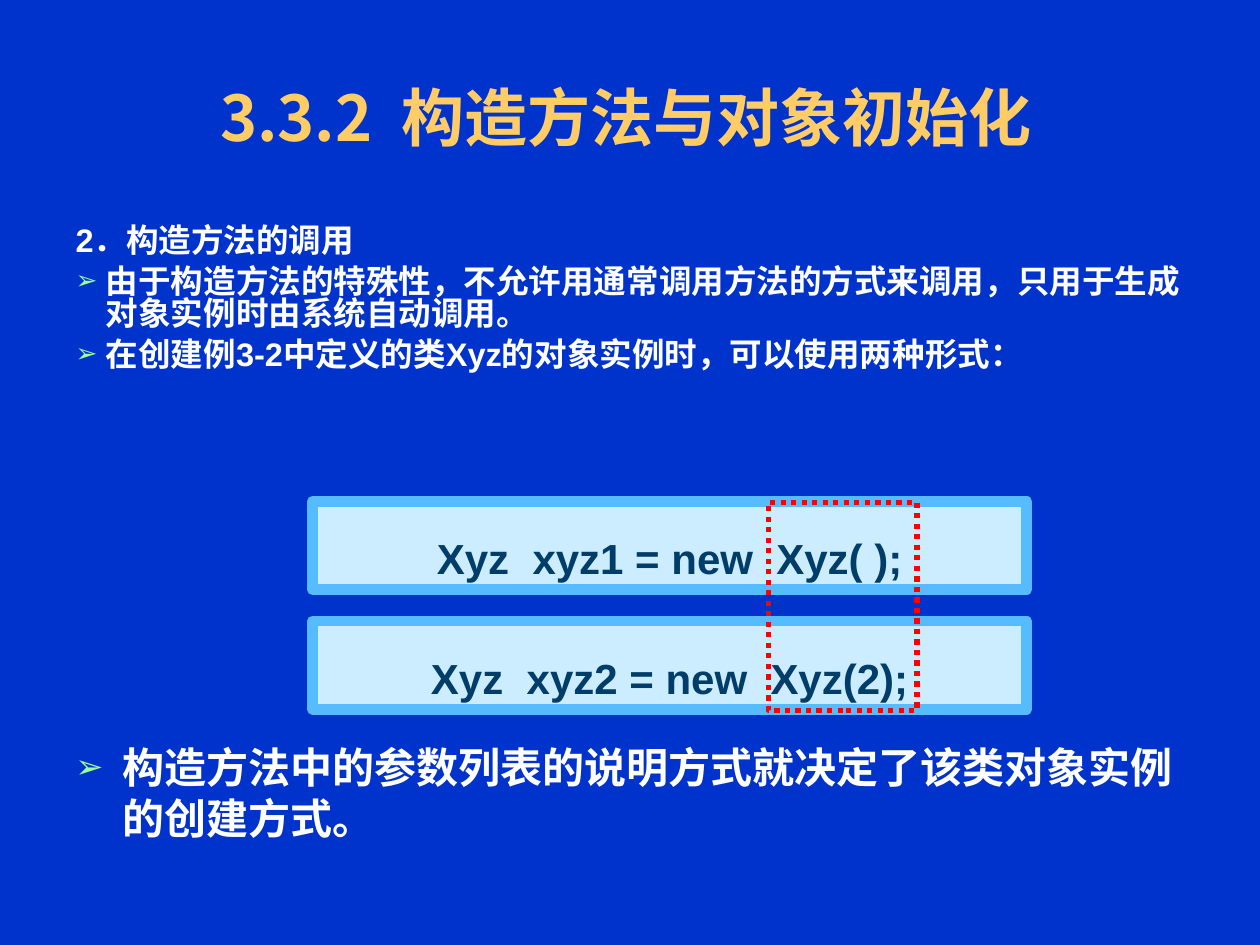
from dataclasses import dataclass
from lxml.etree import SubElement
from pptx import Presentation
from pptx.dml.color import RGBColor
from pptx.enum.dml import MSO_LINE
from pptx.enum.shapes import MSO_SHAPE
from pptx.enum.text import MSO_ANCHOR, MSO_AUTO_SIZE, PP_ALIGN
from pptx.oxml.ns import qn
from pptx.util import Cm, Pt


@dataclass(frozen=True)
class Theme:
    back: str = "0033CC"
    title: str = "FFCC66"
    text: str = "FFFFFF"
    bullet: str = "99FF99"
    code: str = "003D68"
    fill: str = "CCECFF"
    edge: str = "56BBFF"
    mark: str = "FF0000"
    latin: str = "Arial"
    asian: str = "Noto Sans CJK SC"
    head: float = 36
    body: float = 18.6
    large: float = 24


def apply(item, values):
    for key, value in values.items():
        setattr(item, key, value)


def color(name):
    return RGBColor.from_string(name)


class Deck:
    def __init__(self, theme):
        self.theme = theme
        self.file = Presentation()
        apply(self.file, {"slide_width": Cm(25.4), "slide_height": Cm(19.05)})
        self.slide = self.file.slides.add_slide(self.file.slide_layouts[1])
        back = self.slide.background.fill
        back.solid()
        back.fore_color.rgb = color(theme.back)

    def place(self, item, box):
        apply(item, dict(zip(("left", "top", "width", "height"), map(Cm, box))))

    def label(self, para, text, size, tone, face=None, **form):
        apply(para, form)
        run = para.add_run()
        run.text = text
        apply(run.font, {"name": face or self.theme.latin, "size": Pt(size), "bold": True})
        run.font.color.rgb = color(tone)
        SubElement(run._r.get_or_add_rPr(), qn("a:ea"), typeface=self.theme.asian)

    def bullet(self, para, indent, mark=True):
        props = para._p.get_or_add_pPr()
        props.set("marL", str(Cm(indent)))
        props.set("indent", str(-Cm(indent)))
        if not mark:
            SubElement(props, qn("a:buNone"))
            return
        tone = SubElement(props, qn("a:buClr"))
        SubElement(tone, qn("a:srgbClr"), val=self.theme.bullet)
        SubElement(props, qn("a:buSzPct"), val="80000")
        SubElement(props, qn("a:buFont"), typeface=self.theme.latin)
        SubElement(props, qn("a:buChar"), char="➢")

    def title(self, text, box):
        item = self.slide.shapes.title
        self.place(item, box)
        frame = item.text_frame
        apply(frame, {"vertical_anchor": MSO_ANCHOR.MIDDLE, "auto_size": MSO_AUTO_SIZE.NONE})
        self.label(frame.paragraphs[0], text, self.theme.head, self.theme.title,
                   self.theme.asian, alignment=PP_ALIGN.CENTER)

    def body(self, lines, box):
        item = self.slide.placeholders[1]
        self.place(item, box)
        frame = item.text_frame
        frame.auto_size = MSO_AUTO_SIZE.NONE
        for spot, text in enumerate(lines):
            para = frame.add_paragraph() if spot else frame.paragraphs[0]
            self.bullet(para, 0.61 if spot else 0, spot > 0)
            self.label(para, text, self.theme.body, self.theme.text,
                       line_spacing=0.8, space_before=Pt(6 if spot else 0))

    def note(self, text, box):
        frame = self.slide.shapes.add_textbox(*map(Cm, box)).text_frame
        frame.word_wrap = True
        para = frame.paragraphs[0]
        self.bullet(para, 0.95)
        self.label(para, text, self.theme.large, self.theme.text)

    def rect(self, box, edge, width):
        item = self.slide.shapes.add_shape(MSO_SHAPE.RECTANGLE, *map(Cm, box))
        item.shadow.inherit = False
        item.fill.background()
        item.line.color.rgb = color(edge)
        item.line.width = Pt(width)
        return item

    def code(self, text, box):
        item = self.rect(box, self.theme.edge, 6)
        item.fill.solid()
        item.fill.fore_color.rgb = color(self.theme.fill)
        frame = item.text_frame
        apply(frame, {"vertical_anchor": MSO_ANCHOR.TOP, "word_wrap": True,
                      "auto_size": MSO_AUTO_SIZE.SHAPE_TO_FIT_TEXT})
        self.label(frame.paragraphs[0], text, self.theme.large, self.theme.code,
                   alignment=PP_ALIGN.CENTER, line_spacing=1.5)

    def frame(self, box):
        self.rect(box, self.theme.mark, 3).line.dash_style = MSO_LINE.ROUND_DOT


def main():
    deck = Deck(Theme())
    deck.title("3.3.2  构造方法与对象初始化", (1.09, 0.76, 23.04, 3.18))
    deck.body([
        "2．构造方法的调用",
        "由于构造方法的特殊性，不允许用通常调用方法的方式来调用，只用于生成对象实例时由系统自动调用。",
        "在创建例3-2中定义的类Xyz的对象实例时，可以使用两种形式：",
    ], (1.27, 4.45, 23.24, 3.89))
    calls = ["Xyz  xyz1 = new  Xyz( );", "Xyz  xyz2 = new  Xyz(2);"]
    for row, text in enumerate(calls):
        deck.code(text, (6.3, 10.11 + 2.41 * row, 14.4, 1.78))
    deck.note("构造方法中的参数列表的说明方式就决定了该类对象实例的创建方式。",
              (1.27, 14.83, 23.24, 1.47))
    deck.frame((15.49, 10.13, 3, 4.19))
    deck.file.save("out.pptx")


if __name__ == "__main__":
    main()
